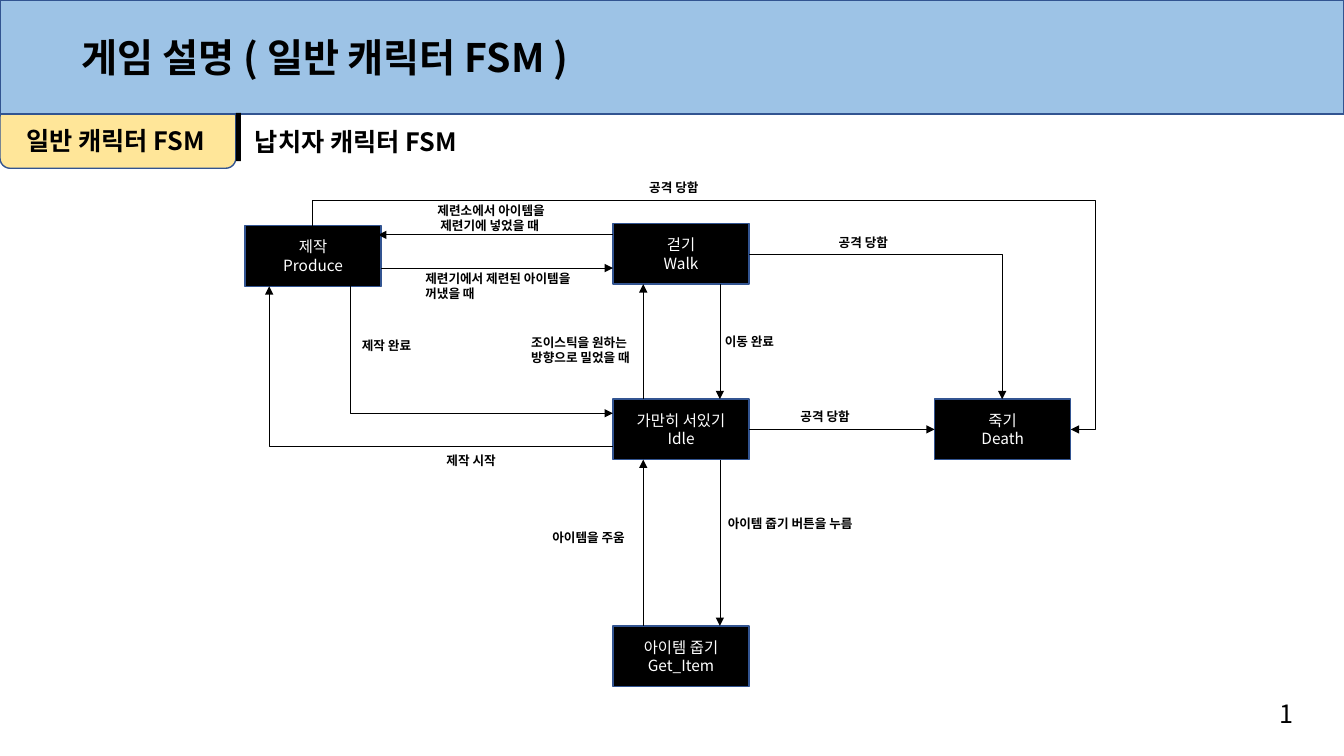
from dataclasses import dataclass

from lxml.etree import SubElement
from pptx import Presentation
from pptx.dml.color import RGBColor
from pptx.enum.shapes import MSO_CONNECTOR, MSO_SHAPE
from pptx.enum.text import MSO_ANCHOR, MSO_AUTO_SIZE, PP_ALIGN
from pptx.oxml.ns import qn
from pptx.util import Inches, Pt


@dataclass(frozen=True)
class Theme:
    font: str = "Noto Sans CJK KR"
    band: RGBColor = RGBColor(0x9D, 0xC3, 0xE6)
    tab: RGBColor = RGBColor(0xFF, 0xE6, 0x99)
    outline: RGBColor = RGBColor(0x32, 0x54, 0x91)
    black: RGBColor = RGBColor(0, 0, 0)
    white: RGBColor = RGBColor(0xFF, 0xFF, 0xFF)
    title_size: int = 28
    heading_size: int = 18
    state_size: int = 11
    label_size: int = 9


THEME = Theme()
STATE_WIDTH, STATE_HEIGHT = 1.35, 0.6
STATES = {
    "produce": ("제작\nProduce", 2.43, 2.24),
    "walk": ("걷기\nWalk", 6.08, 2.22),
    "idle": ("가만히 서있기\nIdle", 6.08, 3.96),
    "item": ("아이템 줍기\nGet_Item", 6.08, 6.21),
    "death": ("죽기\nDeath", 9.27, 3.96),
}
STRAIGHT_ARROWS = [
    ((7.14, 4.56), (7.14, 6.21)),
    ((6.38, 6.21), (6.38, 4.56)),
    ((7.14, 2.82), (7.14, 3.96)),
    ((6.38, 3.96), (6.38, 2.82)),
    ((6.08, 2.33), (3.75, 2.33)),
    ((3.78, 2.66), (6.08, 2.66)),
]
BENT_ARROWS = [
    ((7.43, 2.52), (9.94, 3.96), "bentConnector2", ()),
    ((3.48, 2.84), (6.08, 4.1), "bentConnector3", (0,)),
    ((6.08, 4.43), (2.67, 2.84), "bentConnector3", (1,)),
]
LABELS = [
    ("아이템 줍기 버튼을 누름", 7.12, 5.07, 1.6, 0.25),
    ("아이템을 주움", 5.38, 5.21, 1, 0.25),
    ("조이스틱을 원하는\n방향으로 밀었을 때", 5.17, 3.27, 1.34, 0.4),
    ("이동 완료", 7.09, 3.26, 0.75, 0.25),
    ("공격 당함", 7.84, 4.01, 0.75, 0.25),
    ("공격 당함", 8.22, 2.28, 0.75, 0.25),
    ("공격 당함", 6.34, 1.74, 0.75, 0.25),
    ("제련소에서 아이템을\n 제련기에 넣었을 때", 4.24, 1.96, 1.38, 0.4),
    ("제련기에서 제련된 아이템을\v꺼냈을 때", 4.12, 2.64, 1.8, 0.4),
    ("제작 완료", 3.49, 3.3, 0.75, 0.25),
    ("제작 시작", 4.33, 4.44, 0.75, 0.25),
]


def write_text(text_frame, text, size, color, bold=False, alignment=PP_ALIGN.LEFT):
    text_frame.text = text
    for paragraph in text_frame.paragraphs:
        paragraph.alignment = alignment
        for run in paragraph.runs:
            run.font.size = Pt(size)
            run.font.bold = bold
            run.font.color.rgb = color
            run.font.name = THEME.font
            SubElement(run.font._element, qn("a:ea"), typeface=THEME.font)


def add_text(slide, text, left, top, width, height, size, bold=True, wrap=False):
    box = slide.shapes.add_textbox(Inches(left), Inches(top), Inches(width), Inches(height))
    box.text_frame.word_wrap = wrap
    box.text_frame.auto_size = MSO_AUTO_SIZE.SHAPE_TO_FIT_TEXT
    write_text(box.text_frame, text, size, THEME.black, bold)


def add_block(slide, left, top, width, height, fill, kind=MSO_SHAPE.RECTANGLE, outlined=True):
    shape = slide.shapes.add_shape(kind, Inches(left), Inches(top), Inches(width), Inches(height))
    shape.shadow.inherit = False
    shape.fill.solid()
    shape.fill.fore_color.rgb = fill
    if outlined:
        shape.line.color.rgb = THEME.outline
        shape.line.width = Pt(1)
    else:
        shape.line.fill.background()
    return shape


def add_state(slide, text, left, top):
    shape = add_block(slide, left, top, STATE_WIDTH, STATE_HEIGHT, THEME.black)
    shape.text_frame.vertical_anchor = MSO_ANCHOR.MIDDLE
    write_text(shape.text_frame, text, THEME.state_size, THEME.white, alignment=PP_ALIGN.CENTER)
    return shape


def add_arrow(slide, begin, end, kind=MSO_CONNECTOR.STRAIGHT):
    points = [Inches(value) for value in (*begin, *end)]
    arrow = slide.shapes.add_connector(kind, *points)
    arrow.line.color.rgb = THEME.black
    arrow.line.width = Pt(0.5)
    SubElement(arrow.line._get_or_add_ln(), qn("a:tailEnd"), type="triangle")
    SubElement(arrow._element.spPr, qn("a:effectLst"))
    return arrow


def add_bent_arrow(slide, begin, end, preset, adjustments):
    arrow = add_arrow(slide, begin, end, MSO_CONNECTOR.ELBOW)
    geometry = arrow._element.spPr.find(qn("a:prstGeom"))
    geometry.set("prst", preset)
    guides = geometry.find(qn("a:avLst"))
    for number, value in enumerate(adjustments, start=1):
        SubElement(guides, qn("a:gd"), name=f"adj{number}", fmla=f"val {round(value * 100000)}")
    return arrow


def add_overhead_arrow(slide, begin, end, rise, overshoot):
    width, height = end[0] - begin[0], end[1] - begin[1]
    middle_x, middle_y = (begin[0] + end[0]) / 2, (begin[1] + end[1]) / 2
    turned_begin = (middle_x + height / 2, middle_y - width / 2)
    turned_end = (middle_x - height / 2, middle_y + width / 2)
    adjustments = (-rise / height, 1 + overshoot / width)
    arrow = add_bent_arrow(slide, turned_begin, turned_end, "bentConnector4", adjustments)
    arrow._element.spPr.find(qn("a:xfrm")).set("rot", str(270 * 60000))


def add_header(slide):
    add_block(slide, 0, 1.06, 2.34, 0.61, THEME.tab, MSO_SHAPE.ROUNDED_RECTANGLE)
    add_block(slide, 0, 0, 13.33, 1.13, THEME.band)
    add_block(slide, 2.34, 1.12, 0.05, 0.48, THEME.black, outlined=False)
    add_text(slide, "게임 설명 ( 일반 캐릭터 FSM )", 0.71, 0.28, 5.96, 0.57, THEME.title_size, wrap=True)
    add_text(slide, "일반 캐릭터 FSM", 0.16, 1.19, 2.27, 0.4, THEME.heading_size, wrap=True)
    add_text(slide, "납치자 캐릭터 FSM", 2.43, 1.2, 2.44, 0.4, THEME.heading_size, wrap=True)


def add_state_machine(slide):
    states = {name: add_state(slide, *state) for name, state in STATES.items()}
    for begin, end in STRAIGHT_ARROWS:
        add_arrow(slide, begin, end)
    attacked = add_arrow(slide, (7.43, 4.26), (9.27, 4.26))
    attacked.begin_connect(states["idle"], 3)
    attacked.end_connect(states["death"], 1)
    for bent_arrow in BENT_ARROWS:
        add_bent_arrow(slide, *bent_arrow)
    add_overhead_arrow(slide, (3.1, 2.24), (10.62, 4.26), rise=0.25, overshoot=0.25)
    for label in LABELS:
        add_text(slide, *label, THEME.label_size)


def main():
    presentation = Presentation()
    presentation.slide_width = Inches(13.33)
    presentation.slide_height = Inches(7.5)
    slide = presentation.slides.add_slide(presentation.slide_layouts[6])
    add_header(slide)
    add_state_machine(slide)
    add_text(slide, "1", 12.59, 6.88, 0.34, 0.4, THEME.heading_size, bold=False)
    presentation.save("out.pptx")


if __name__ == "__main__":
    main()
